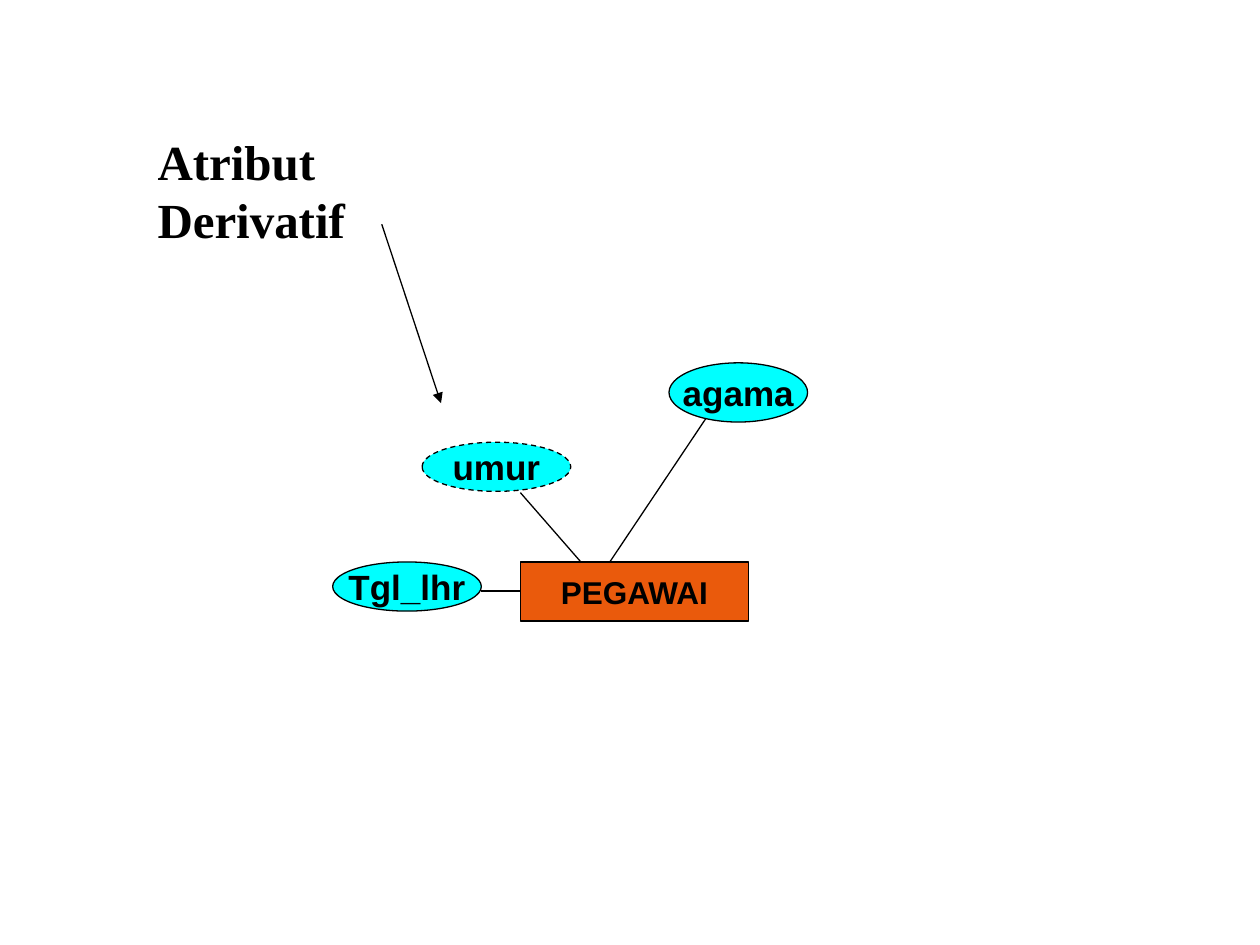
import dataclasses

import lxml.etree
import pptx
import pptx.dml.color
import pptx.enum.dml
import pptx.enum.shapes
import pptx.enum.text
import pptx.oxml.ns
import pptx.util
from pptx.util import Inches

SHAPE = pptx.enum.shapes.MSO_SHAPE
ALIGN = pptx.enum.text.PP_ALIGN
ANCHOR = pptx.enum.text.MSO_ANCHOR


@dataclasses.dataclass(frozen=True)
class Theme:
    ink: str = "000000"
    entity: str = "EA5A0C"
    attribute: str = "00FFFF"
    title_font: str = "Times New Roman"
    label_font: str = "Arial"
    title_size: int = 28
    entity_size: int = 18
    attribute_size: int = 20
    line_width: float = 0.75


THEME = Theme()


def rgb(value):
    return pptx.dml.color.RGBColor.from_string(value)


def write_text(shape, text, font, size, align, anchor):
    frame = shape.text_frame
    frame.word_wrap = False
    frame.auto_size = pptx.enum.text.MSO_AUTO_SIZE.NONE
    frame.vertical_anchor = anchor
    para = frame.paragraphs[0]
    para.alignment = align
    span = para.add_run()
    span.text = text
    span.font.name = font
    span.font.size = pptx.util.Pt(size)
    span.font.bold = True
    span.font.color.rgb = rgb(THEME.ink)


def style_line(line):
    line.color.rgb = rgb(THEME.ink)
    line.width = pptx.util.Pt(THEME.line_width)


def add_node(page, kind, box, text, fill, size, dashed=False):
    """Add a filled, outlined shape with a centred label."""
    node = page.shapes.add_shape(kind, *map(Inches, box))
    node.shadow.inherit = False
    node.fill.solid()
    node.fill.fore_color.rgb = rgb(fill)
    style_line(node.line)
    if dashed:
        node.line.dash_style = pptx.enum.dml.MSO_LINE.DASH
    write_text(node, text, THEME.label_font, size, ALIGN.CENTER, ANCHOR.MIDDLE)


def add_line(page, start, end, arrow=False):
    link = page.shapes.add_connector(
        pptx.enum.shapes.MSO_CONNECTOR.STRAIGHT, *map(Inches, start + end))
    style_line(link.line)
    properties = link.element.spPr
    if arrow:
        outline = properties.find(pptx.oxml.ns.qn("a:ln"))
        lxml.etree.SubElement(outline, pptx.oxml.ns.qn("a:tailEnd"), type="triangle")
    lxml.etree.SubElement(properties, pptx.oxml.ns.qn("a:effectLst"))


def place_title(page, box):
    title = page.shapes.title
    title.left, title.top, title.width, title.height = map(Inches, box)
    write_text(title, "Atribut Derivatif", THEME.title_font, THEME.title_size,
               ALIGN.LEFT, ANCHOR.TOP)


def place_pointer(page, box):
    """Arrow from the title to the derived attribute, across the box."""
    left, top, width, height = box
    add_line(page, (left, top), (left + width, top + height), arrow=True)


def place_diagram(page, box):
    left, top, width, height = box

    def at(x, y):
        return left + x, top + y

    # Links from the entity to its attributes
    entity_top = 1.58
    links = [
        ((1.18, 1.81), (1.49, 1.81)),
        ((1.97, entity_top), (1.49, 1.03)),
        ((2.2, entity_top), (2.99, 0.4)),
    ]
    for start, end in links:
        add_line(page, at(*start), at(*end))

    # Entity
    add_node(page, SHAPE.RECTANGLE, at(1.49, entity_top) + (1.81, height - entity_top),
             "PEGAWAI", THEME.entity, THEME.entity_size)

    # Attributes; the derived one has a dashed outline
    attributes = [
        ("Tgl_lhr", 0, entity_top, 1.18, 0.39, False),
        ("umur", 0.71, 0.63, 1.18, 0.39, True),
        ("agama", width - 1.1, 0, 1.1, 0.47, False),
    ]
    for text, x, y, wide, high, derived in attributes:
        add_node(page, SHAPE.OVAL, at(x, y) + (wide, high), text,
                 THEME.attribute, THEME.attribute_size, derived)


def main():
    deck = pptx.Presentation()
    deck.slide_width, deck.slide_height = Inches(10), Inches(7.5)
    page = deck.slides.add_slide(deck.slide_layouts.get_by_name("Title Only"))
    place_title(page, (1.15, 0.99, 3.03, 0.57))
    place_pointer(page, (3.03, 1.78, 0.47, 1.42))
    place_diagram(page, (2.64, 2.88, 3.77, 2.05))
    deck.save("out.pptx")


if __name__ == "__main__":
    main()
